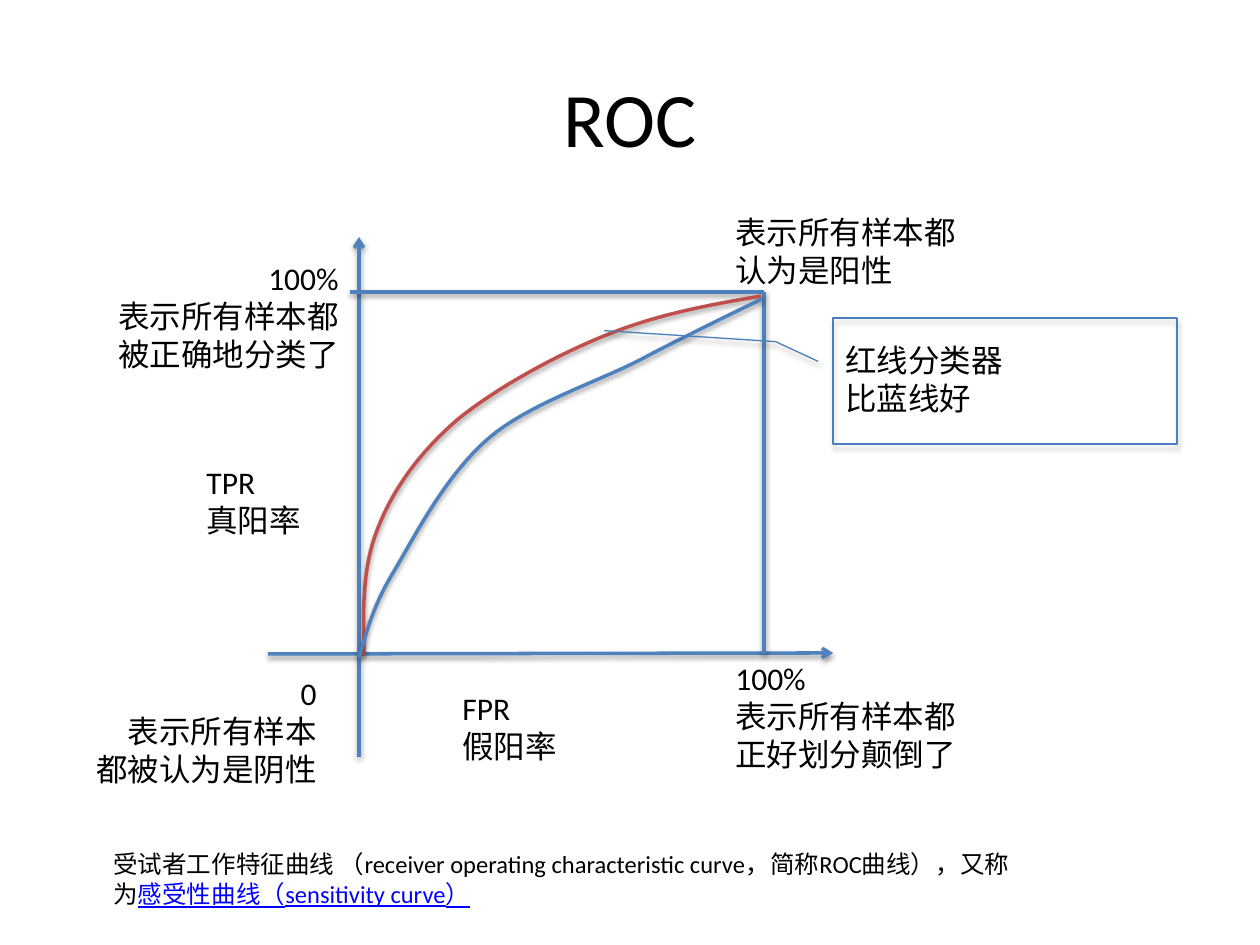
from lxml.etree import SubElement
from pptx import Presentation
from pptx.dml.color import RGBColor
from pptx.enum.dml import MSO_LINE
from pptx.enum.shapes import MSO_CONNECTOR, MSO_SHAPE
from pptx.enum.text import MSO_ANCHOR, PP_ALIGN
from pptx.oxml.ns import qn
from pptx.util import Emu, Pt

PX = 914400 / 126
THEME = {
    "font": "Calibri", "title": 44, "label": 18, "note": 14,
    "text": "000000", "blue": "4F81BD", "red": "C0504D",
    "edge": "4B7EBC", "link": "0000FF", "line": 2, "thin": 0.75,
}

TITLE = ("ROC", (63, 38, 1134, 157))

# start, end, arrowhead
LINES = [
    ((268, 654), (833, 653), True),
    ((359, 757), (359, 237), True),
    ((350, 292), (764, 292), False),
    ((764, 654), (764, 292), False),
]

# colour, start, then cubic segments (two controls and an end)
CURVES = [
    ("red", (364, 655), [
        ((363, 611), (362, 567), (378, 528)),
        ((393, 489), (420, 452), (457, 420)),
        ((496, 388), (558, 354), (609, 334)),
        ((659, 314), (709, 305), (761, 296))]),
    ("blue", (359, 658), [
        ((367, 631), (373, 605), (396, 568)),
        ((417, 532), (447, 474), (489, 438)),
        ((529, 404), (595, 383), (640, 360)),
        ((685, 336), (762, 299), (762, 299))]),
]

CALLOUT = ((833, 318, 344, 126), (0.345, -0.043, 0.188, -0.167, 0.101, -0.665))

# lines, box, alignment, wrap
LEFT, RIGHT = PP_ALIGN.LEFT, PP_ALIGN.RIGHT
LABELS = [
    (["FPR", "假阳率"], (450, 683, 121, 89), LEFT, False),
    (["TPR", "真阳率"], (194, 457, 121, 89), LEFT, False),
    (["0", "表示所有样本", "都被认为是阴性"], (81, 668, 248, 127), RIGHT, False),
    (["100%", "表示所有样本都", "被正确地分类了"], (81, 253, 270, 127), RIGHT, True),
    (["表示所有样本都", "认为是阳性"], (723, 207, 248, 89), LEFT, False),
    (["100%", "表示所有样本都", "正好划分颠倒了"], (723, 653, 248, 127), LEFT, False),
    (["红线分类器", "比蓝线好"], (833, 335, 184, 89), LEFT, False),
]

NOTE = ("受试者工作特征曲线 （receiver operating characteristic curve，简称ROC曲线），又称为",
        "感受性曲线（sensitivity curve）", (101, 843, 931, 72))


def emu(*vals):
    """Turn pixels into EMU."""
    return [Emu(round(v * PX)) for v in vals]


def tint(name):
    """Give a theme colour."""
    return RGBColor.from_string(THEME[name])


def style(run, size, color="text"):
    """Set font, size and colour of a run."""
    run.font.name = THEME["font"]
    run.font.size = Pt(THEME[size])
    run.font.color.rgb = tint(color)


def shade(shape, alpha=38, dist=1.6):
    """Add a soft shadow straight below a shape."""
    props = shape._element.spPr
    for old in props.findall(qn("a:effectLst")):
        props.remove(old)
    glow = SubElement(SubElement(props, qn("a:effectLst")), qn("a:outerShdw"),
                      blurRad=str(Pt(3.1)), dist=str(Pt(dist)),
                      dir="5400000", rotWithShape="0")
    black = SubElement(glow, qn("a:srgbClr"), val=THEME["text"])
    SubElement(black, qn("a:alpha"), val=str(alpha * 1000))


def stroke(shape, color, width="line"):
    """Set the outline of a shape."""
    shape.line.color.rgb = tint(color)
    shape.line.width = Pt(THEME[width])
    shape.line.dash_style = MSO_LINE.SOLID


def add_line(slide, start, end, arrow):
    """Draw one straight line, with an arrowhead if asked."""
    line = slide.shapes.add_connector(MSO_CONNECTOR.STRAIGHT, *emu(*start, *end))
    stroke(line, "blue")
    if arrow:
        SubElement(line.line._get_or_add_ln(), qn("a:tailEnd"), type="arrow")
    shade(line)


def trace(start, parts, steps=16):
    """List points along joined cubic segments."""
    spots = []
    for one, two, end in parts:
        for i in range(1, steps + 1):
            t = i / steps
            u = 1 - t
            spots.append(tuple(
                u**3 * a + 3 * u * u * t * b + 3 * u * t * t * c + t**3 * d
                for a, b, c, d in zip(start, one, two, end)))
        start = end
    return spots


def add_curve(slide, color, start, parts):
    """Draw one smooth open curve."""
    pen = slide.shapes.build_freeform(*emu(*start), scale=1.0)
    pen.add_line_segments([emu(*p) for p in trace(start, parts)], close=False)
    curve = pen.convert_to_shape()
    curve.fill.background()
    stroke(curve, color)
    shade(curve)


def add_callout(slide, box, bends):
    """Draw the empty callout frame and its leader."""
    frame = slide.shapes.add_shape(MSO_SHAPE.LINE_CALLOUT_2, *emu(*box))
    for i, bend in enumerate(bends):
        frame.adjustments[i] = bend
    frame.fill.background()
    stroke(frame, "edge", "thin")
    shade(frame, 35, 1.8)


def add_text(slide, lines, box, align=LEFT, wrap=True, size="label"):
    """Add a text box with one paragraph a line."""
    frame = slide.shapes.add_textbox(*emu(*box)).text_frame
    frame.word_wrap = wrap
    frame.text = "\n".join(lines)
    for para in frame.paragraphs:
        para.alignment = align
        for run in para.runs:
            style(run, size)
    return frame


def main():
    """Build the slide and save it."""
    deck = Presentation()
    deck.slide_width, deck.slide_height = emu(1260, 945)
    slide = deck.slides.add_slide(deck.slide_layouts[5])

    text, box = TITLE
    title = slide.shapes.title
    title.left, title.top, title.width, title.height = emu(*box)
    title.text_frame.text = text
    title.text_frame.vertical_anchor = MSO_ANCHOR.MIDDLE
    title.text_frame.paragraphs[0].alignment = PP_ALIGN.CENTER
    style(title.text_frame.paragraphs[0].runs[0], "title")

    for line in LINES:
        add_line(slide, *line)
    for curve in CURVES:
        add_curve(slide, *curve)
    add_callout(slide, *CALLOUT)
    for label in LABELS:
        add_text(slide, *label)

    body, term, box = NOTE
    note = add_text(slide, [body], box, size="note")
    link = note.paragraphs[0].add_run()
    link.text = term
    style(link, "note", "link")
    link.font.underline = True

    deck.save("out.pptx")


main()
